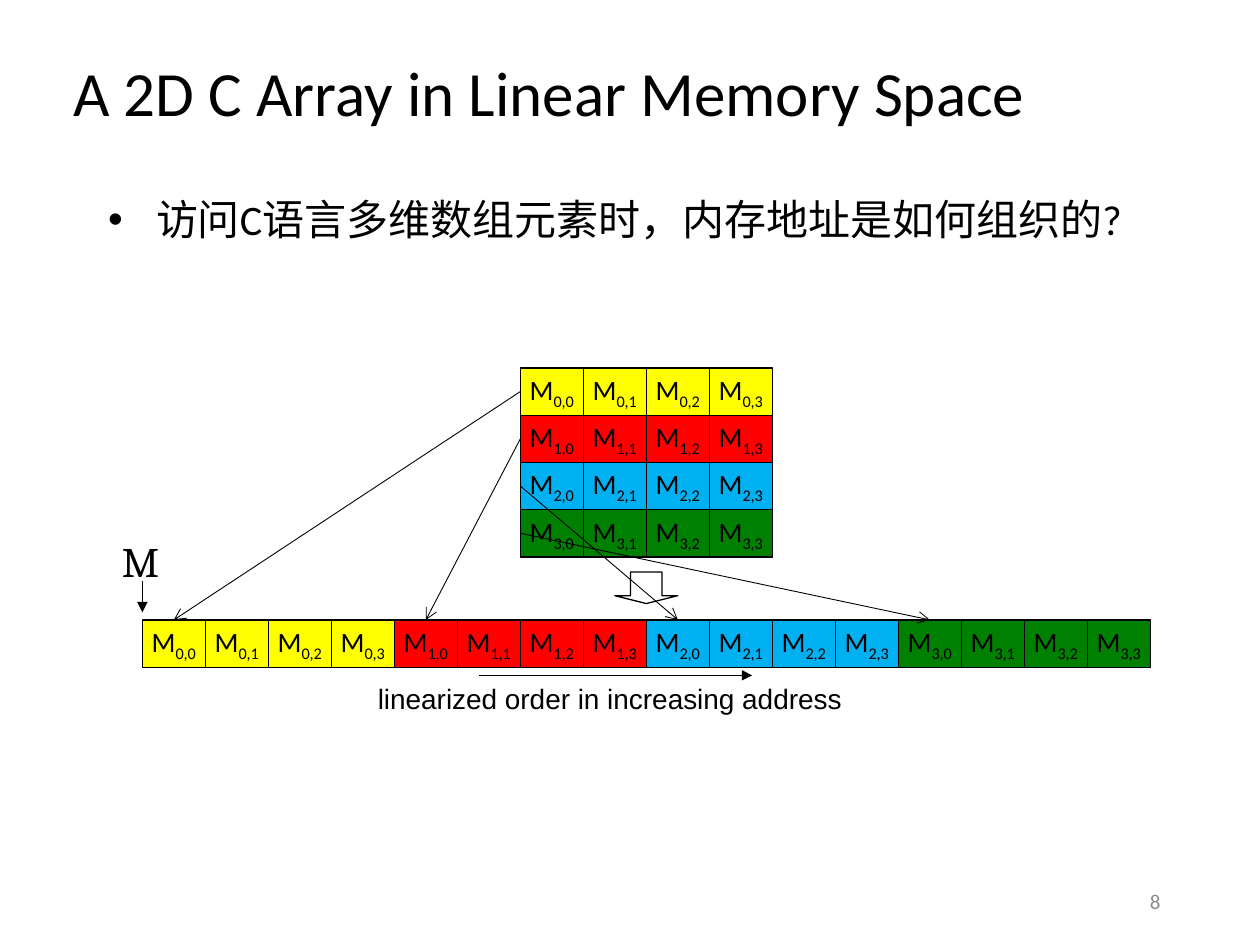
from dataclasses import dataclass

from lxml.etree import SubElement
from pptx import Presentation
from pptx.dml.color import RGBColor
from pptx.enum.shapes import MSO_CONNECTOR, MSO_SHAPE
from pptx.enum.text import MSO_ANCHOR, MSO_AUTO_SIZE, PP_ALIGN
from pptx.oxml.ns import qn
from pptx.util import Inches, Pt

BLACK = "000000"
HUES = ["FFFF00", "FF0000", "00B0F0", "008000"]
COLS = 4
WIDE, HIGH = 0.5, 0.375
GRID_X, GRID_Y = 4.13, 2.92
LINE_X, LINE_Y = 1.13, 4.92


@dataclass
class Cell:
    row: int
    col: int
    left: float
    top: float


@dataclass
class Arrow:
    start: tuple
    end: tuple
    width: float
    head: str


@dataclass
class Label:
    text: str
    box: tuple
    size: int
    font: str
    hue: str = BLACK
    align: PP_ALIGN = PP_ALIGN.LEFT
    wrap: bool = False
    grow: bool = True
    anchor: MSO_ANCHOR = MSO_ANCHOR.TOP


def color(code: str) -> RGBColor:
    return RGBColor.from_string(code)


def style(font, size: int, name: str, hue: str = BLACK) -> None:
    font.size = Pt(size)
    font.name = name
    font.color.rgb = color(hue)


def outline(line, width: float) -> None:
    line.color.rgb = color(BLACK)
    line.width = Pt(width)


def draw_cell(slide, cell: Cell):
    box = slide.shapes.add_shape(
        MSO_SHAPE.RECTANGLE, Inches(cell.left), Inches(cell.top), Inches(WIDE), Inches(HIGH))
    box.shadow.inherit = False
    box.fill.solid()
    box.fill.fore_color.rgb = color(HUES[cell.row])
    outline(box.line, 0.75)
    frame = box.text_frame
    frame.word_wrap = False
    frame.vertical_anchor = MSO_ANCHOR.MIDDLE
    para = frame.paragraphs[0]
    para.alignment = PP_ALIGN.CENTER
    for text in ("M", f"{cell.row},{cell.col}"):
        run = para.add_run()
        run.text = text
        style(run.font, 16, "Calibri")
    run.font._element.set("baseline", "-25000")
    return box


def draw_arrow(slide, arrow: Arrow):
    ends = [Inches(n) for n in (*arrow.start, *arrow.end)]
    line = slide.shapes.add_connector(MSO_CONNECTOR.STRAIGHT, *ends)
    outline(line.line, arrow.width)
    SubElement(line.line._get_or_add_ln(), qn("a:tailEnd"), type=arrow.head)
    SubElement(line._element.spPr, qn("a:effectLst"))
    return line


def draw_label(slide, label: Label):
    box = slide.shapes.add_textbox(*[Inches(n) for n in label.box])
    frame = box.text_frame
    frame.text = label.text
    frame.word_wrap = label.wrap
    frame.auto_size = MSO_AUTO_SIZE.SHAPE_TO_FIT_TEXT if label.grow else MSO_AUTO_SIZE.NONE
    frame.vertical_anchor = label.anchor
    para = frame.paragraphs[0]
    para.alignment = label.align
    style(para.runs[0].font, label.size, label.font, label.hue)
    return box


def add_bullet(para, indent: float) -> None:
    props = para._p.get_or_add_pPr()
    props.set("marL", str(Inches(indent)))
    props.set("indent", str(Inches(-indent)))
    SubElement(props, qn("a:buFont"), typeface="Arial")
    SubElement(props, qn("a:buChar"), char="•")


def set_title(slide, text: str) -> None:
    title = slide.shapes.title
    title.left, title.top = Inches(0.45), Inches(0.42)
    title.width, title.height = Inches(9.09), Inches(0.68)
    frame = title.text_frame
    frame.text = text
    frame.word_wrap = True
    frame.auto_size = MSO_AUTO_SIZE.SHAPE_TO_FIT_TEXT
    frame.vertical_anchor = MSO_ANCHOR.TOP
    frame.margin_left = frame.margin_right = Inches(0.13)
    frame.margin_top = frame.margin_bottom = Inches(0.07)
    para = frame.paragraphs[0]
    para.alignment = PP_ALIGN.LEFT
    para.line_spacing = 0.9
    style(para.runs[0].font, 36, "Calibri")


def draw_cells(slide) -> list:
    pairs = []
    for row in range(len(HUES)):
        for col in range(COLS):
            grid = draw_cell(slide, Cell(row, col, GRID_X + col * WIDE, GRID_Y + row * HIGH))
            flat = draw_cell(slide, Cell(row, col, LINE_X + (row * COLS + col) * WIDE, LINE_Y))
            if col == 0:
                pairs.append((grid, flat))
    return pairs


def link_rows(slide, pairs: list) -> None:
    for row, (grid, flat) in enumerate(pairs):
        start = (GRID_X, GRID_Y + (row + 0.5) * HIGH)
        end = (LINE_X + (row * COLS + 0.5) * WIDE, LINE_Y)
        line = draw_arrow(slide, Arrow(start, end, 0.5, "arrow"))
        line.begin_connect(grid, 1)
        line.end_connect(flat, 0)


def draw_down(slide) -> None:
    down = slide.shapes.add_shape(
        MSO_SHAPE.DOWN_ARROW, Inches(4.88), Inches(4.54), Inches(0.5), Inches(0.25))
    down.adjustments[0] = 0.5
    down.adjustments[1] = 0.25
    down.shadow.inherit = False
    down.fill.background()
    outline(down.line, 0.75)


def main() -> None:
    deck = Presentation()
    deck.slide_width, deck.slide_height = Inches(10), Inches(7.5)
    slide = deck.slides.add_slide(deck.slide_layouts[5])
    set_title(slide, "A 2D C Array in Linear Memory Space")
    pairs = draw_cells(slide)
    draw_arrow(slide, Arrow((1.13, 4.61), (1.13, 4.86), 0.75, "triangle"))
    draw_label(slide, Label("M", (0.87, 4.2, 0.5, 0.5), 24, "Cambria"))
    draw_down(slide)
    draw_label(slide, Label(
        "linearized order in increasing address", (2.9, 5.36, 3.93, 0.37), 16, "Arial"))
    draw_arrow(slide, Arrow((3.8, 5.36), (5.97, 5.36), 0.75, "triangle"))
    link_rows(slide, pairs)
    draw_label(slide, Label(
        "8", (7.06, 6.95, 2.25, 0.4), 12, "Calibri", "8C8C8C",
        PP_ALIGN.RIGHT, True, False, MSO_ANCHOR.MIDDLE))
    point = draw_label(slide, Label(
        "访问C语言多维数组元素时，内存地址是如何组织的?",
        (0.76, 1.49, 8.38, 0.5), 24, "Calibri", wrap=True))
    add_bullet(point.text_frame.paragraphs[0], 0.38)
    deck.save("out.pptx")


if __name__ == "__main__":
    main()
